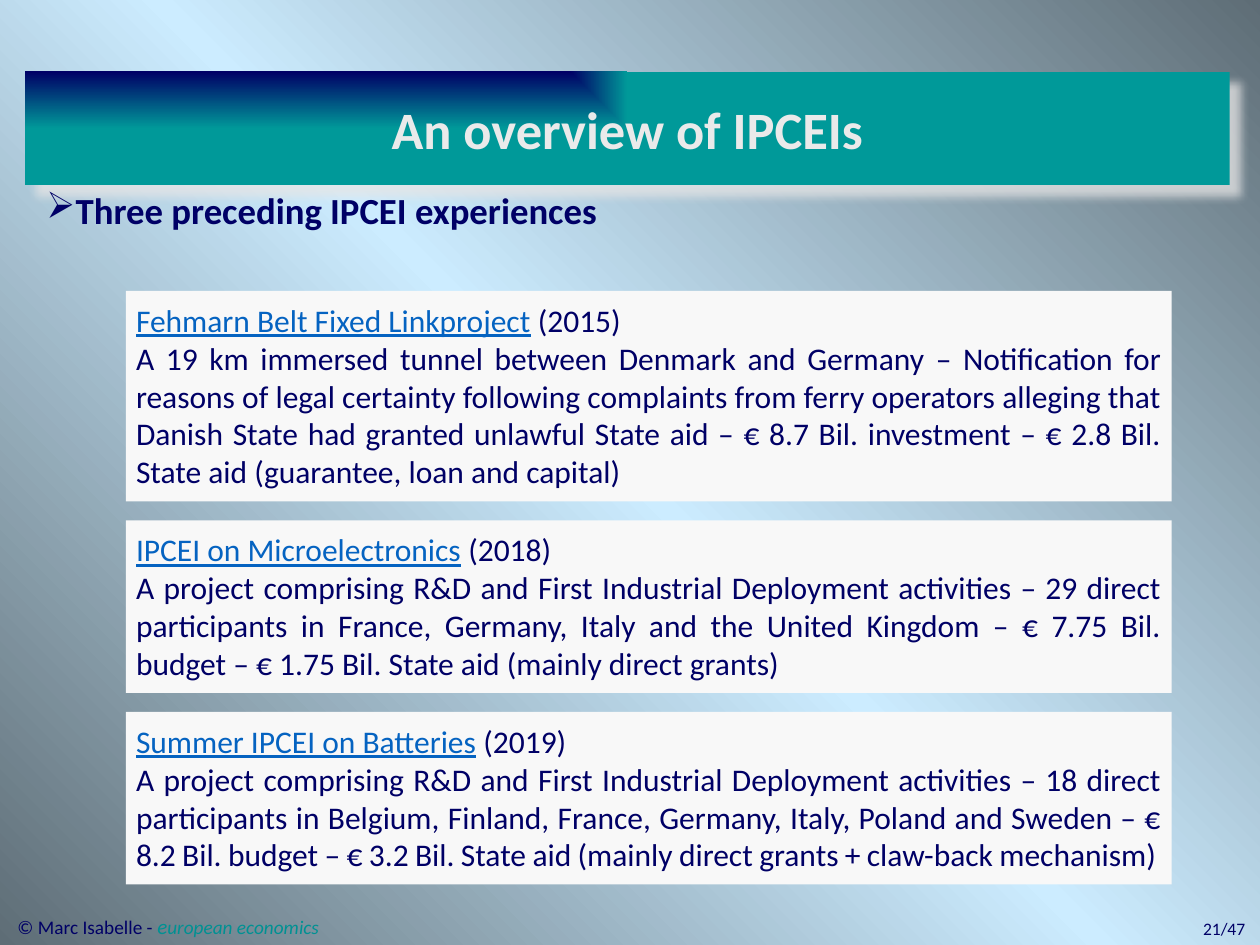
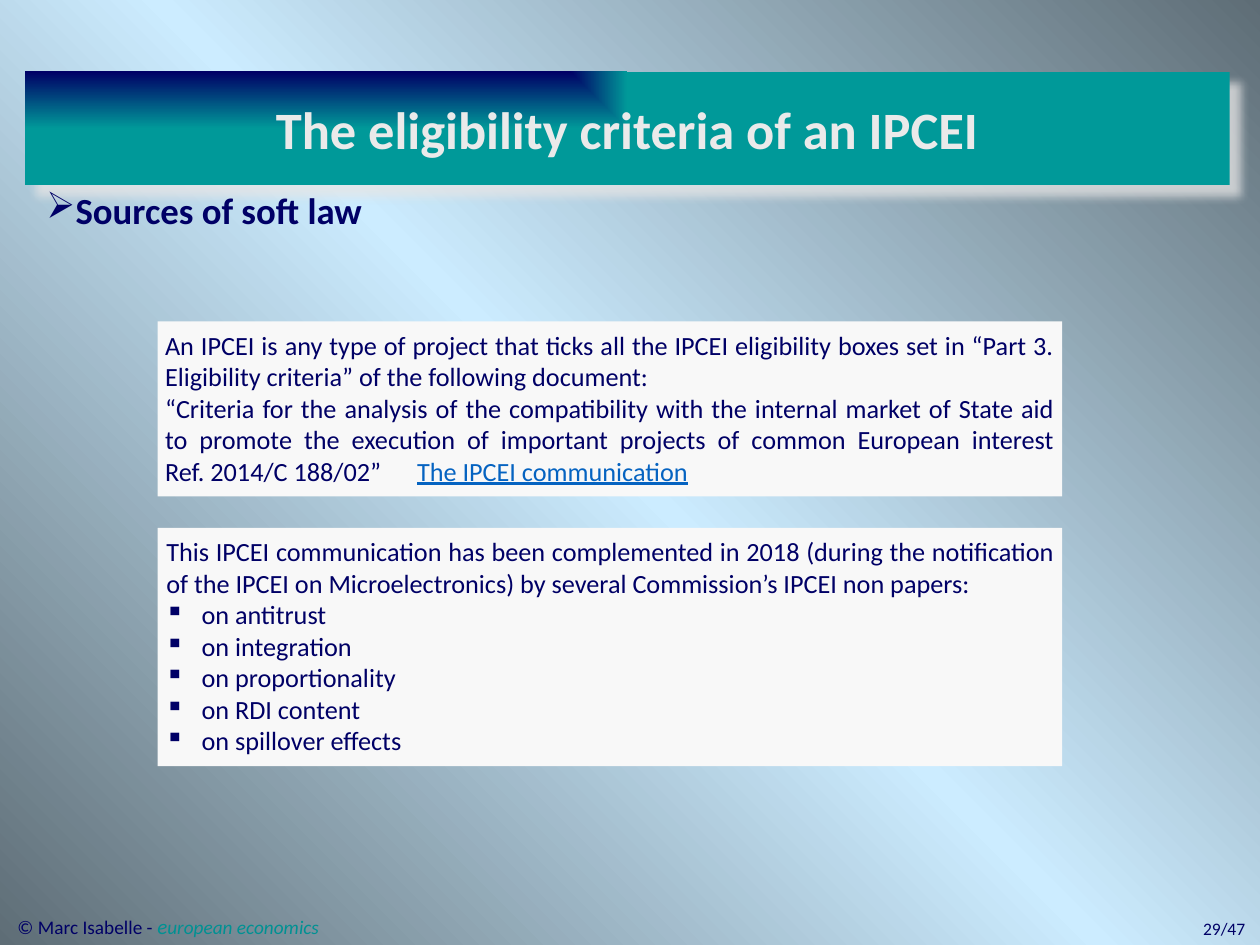
import pptx
import pptx.dml.color
import pptx.enum.shapes
import pptx.enum.text
import pptx.oxml
import pptx.oxml.ns
import pptx.util

Inches, Pt = pptx.util.Inches, pptx.util.Pt
ALIGN = pptx.enum.text.PP_ALIGN
ANCHOR = pptx.enum.text.MSO_ANCHOR
qn = pptx.oxml.ns.qn
NS = pptx.oxml.ns.nsdecls("a")
NBSP = chr(160)

HUES = {
    "navy": "000066", "teal": "009999", "sign": "009193", "link": "0563C1",
    "panel": "F8F8F8", "title": "EAEAEA", "shade": "E7E6E6",
    "steel": "5E6D76", "sky": "CCECFF",
}
STYLES = {
    "plain": {},
    "link": {"hue": "link", "underline": True},
    "sign": {"hue": "sign", "italic": True},
    "cap": {"hue": "sign", "italic": True, "size": Pt(12)},
    "lead": {"bold": True},
    "title": {"hue": "title", "bold": True},
    "thin": {"size": Pt(16)},
}


def rgb(name):
    return pptx.dml.color.RGBColor.from_string(HUES[name])


def blend(fill, holder, stops, way, alpha=100):
    """Give holder a gradient; stops pair a percentage with a colour name."""
    fill.solid()
    marks = "".join(
        f'<a:gs pos="{pos * 1000}"><a:srgbClr val="{HUES[name]}">'
        f'<a:alpha val="{alpha * 1000}"/></a:srgbClr></a:gs>'
        for pos, name in stops)
    xml = f"<a:gradFill {NS}><a:gsLst>{marks}</a:gsLst>{way}</a:gradFill>"
    holder.replace(holder.find(qn("a:solidFill")), pptx.oxml.parse_xml(xml))


def mark(para, char, left, hang):
    """Set the indents of a paragraph and, if given, its bullet."""
    props = para._p.get_or_add_pPr()
    props.set("marL", str(Inches(left)))
    props.set("indent", str(Inches(hang)))
    if char:
        props.append(pptx.oxml.parse_xml(f'<a:buChar {NS} char="{char}"/>'))


def write(para, runs, size, align=ALIGN.JUSTIFY):
    """Fill a paragraph from (text, style name) pairs."""
    para.alignment = align
    for text, style in runs:
        run = para.add_run()
        run.text = text
        form = {"name": "Calibri", "size": Pt(size), "hue": "navy"}
        form.update(STYLES[style])
        run.font.color.rgb = rgb(form.pop("hue"))
        for key, value in form.items():
            setattr(run.font, key, value)


def frame(shape, pad=None, wrap=True, anchor=ANCHOR.TOP):
    """Prepare the text frame of a shape and return it."""
    body = shape.text_frame
    form = {"word_wrap": wrap, "vertical_anchor": anchor}
    if pad is not None:
        for side in ("left", "top", "right", "bottom"):
            form[f"margin_{side}"] = Inches(pad)
    for key, value in form.items():
        setattr(body, key, value)
    return body


def label(slide, box, runs, size, align=ALIGN.LEFT, wrap=True):
    shape = slide.shapes.add_textbox(*map(Inches, box))
    para = frame(shape, wrap=wrap).paragraphs[0]
    write(para, runs, size, align)
    return para


def block(slide, box):
    """Add a rectangle with no line and no shadow."""
    kind = pptx.enum.shapes.MSO_SHAPE.RECTANGLE
    shape = slide.shapes.add_shape(kind, *map(Inches, box))
    shape.shadow.inherit = False
    shape.line.fill.background()
    return shape


def panel(slide, box, paras, size, pad):
    """Add a pale box of paragraphs, each (runs, bullet or None, indents)."""
    shape = block(slide, box)
    shape.fill.solid()
    shape.fill.fore_color.rgb = rgb("panel")
    body = frame(shape, pad)
    for i, (runs, char, (left, hang)) in enumerate(paras):
        para = body.add_paragraph() if i else body.paragraphs[0]
        mark(para, char, left, hang)
        write(para, runs, size)


def banner(slide, box, text):
    shape = block(slide, box)
    props = shape.element.spPr
    blend(shape.fill, props, [(0, "navy"), (100, "teal")],
          '<a:path path="rect"><a:fillToRect r="100000" b="100000"/></a:path>')
    props.find(qn("a:effectLst")).append(pptx.oxml.parse_xml(
        f'<a:outerShdw {NS} blurRad="{Pt(5)}" dist="{Pt(8.5)}" dir="2700000" '
        f'algn="tl" rotWithShape="0"><a:srgbClr val="{HUES["shade"]}">'
        '<a:alpha val="75000"/></a:srgbClr></a:outerShdw>'))
    body = frame(shape, 0.2, anchor=ANCHOR.MIDDLE)
    write(body.paragraphs[0], [(text, "title")], 30, ALIGN.CENTER)


def base(deck, title, lead, page):
    """Add a slide with its banner, lead line and footers."""
    slide = deck.slides.add_slide(deck.slide_layouts[6])
    label(slide, (8.79, 7.24, 1.19, 0.27), [(page, "plain")], 10, ALIGN.RIGHT)
    label(slide, (0.04, 7.2, 2.61, 0.3),
          [("© Marc Isabelle - ", "plain"), ("e", "cap"),
           ("uropean economics", "sign")], 11, wrap=False)
    banner(slide, (0.2, 0.57, 9.56, 0.9), title)
    para = label(slide, (0.27, 1.48, 9.05, 0.5), [(lead, "lead")], 21,
                 ALIGN.JUSTIFY)
    para.line_spacing = 0.9
    mark(para, "➢", 0.19, -0.29)
    return slide


def tight(text):
    """Split text into runs whose spaces are a little smaller."""
    runs = []
    for word in text.split():
        runs += [(" ", "thin"), (word, "plain")]
    return runs


def past(deck):
    slide = base(deck, "An overview of IPCEIs",
                 "Three preceding IPCEI experiences", "21/47")
    cases = [
        ("Fehmarn Belt Fixed Linkproject", 2015, 1.67, [(
            "A 19 km immersed tunnel between Denmark and Germany – "
            "Notification for reasons of legal certainty following complaints "
            "from ferry operators alleging that Danish State had granted "
            "unlawful State aid – € 8.7 Bil. investment – € 2.8 Bil. State "
            "aid (guarantee, loan and capital)", "plain")]),
        ("IPCEI on Microelectronics", 2018, 1.37, [(
            "A project comprising R&D and First Industrial Deployment "
            "activities – 29 direct participants in France, Germany, Italy "
            "and the United Kingdom – € 7.75 Bil. budget – € 1.75 Bil. State "
            "aid (mainly direct grants)", "plain")]),
        ("Summer IPCEI on Batteries", 2019, 1.37, [(
            "A project comprising R&D and First Industrial Deployment "
            "activities – 18 direct participants in Belgium, Finland, France, "
            "Germany, Italy, Poland and Sweden – € 8.2", "plain")] + tight(
            "Bil. budget – € 3.2 Bil. State aid (mainly direct grants + "
            "claw-back mechanism)")),
    ]
    top, gap = 2.31, 0.15
    for name, year, high, runs in cases:
        head = [(name, "link"), (f" ({year})", "plain")]
        panel(slide, (1, top, 8.3, high),
              [(head, None, (0, 0)), (runs, None, (0, 0))], 18, 0.08)
        top += high + gap


def rules(deck):
    slide = base(deck, "The eligibility criteria of an IPCEI",
                 "Sources of soft law", "29/47")
    intro = ("An IPCEI is any type of project that ticks all the IPCEI "
             "eligibility boxes set in “Part 3. Eligibility criteria” of the "
             "following document:")
    quote = ("“Criteria for the analysis of the compatibility with the "
             "internal market of State aid to promote the execution of "
             "important projects of common European interest "
             f"Ref.{NBSP}2014/C 188/02”\t")
    panel(slide, (1.25, 2.55, 7.18, 1.39), [
        ([(intro, "plain")], None, (0, 0)),
        ([(quote, "plain"), ("The IPCEI communication", "link")],
         None, (0, 0))], 15, 0.06)
    last = slide.shapes[-1].text_frame.paragraphs[-1]
    last._p.get_or_add_pPr().append(pptx.oxml.parse_xml(
        f'<a:tabLst {NS}><a:tab pos="{Inches(2.5)}" algn="l"/></a:tabLst>'))

    note = ("This IPCEI communication has been complemented in 2018 (during "
            "the notification of the IPCEI on Microelectronics) by several "
            "Commission’s IPCEI non papers:")
    themes = ["antitrust", "integration", "proportionality", "RDI content",
              "spillover effects"]
    paras = [([(note, "plain")], None, (0.01, 0))]
    paras += [([(f"on {theme}", "plain")], "▪", (0.29, -0.29))
              for theme in themes]
    panel(slide, (1.25, 4.19, 7.18, 1.89), paras, 15, 0.06)


def main():
    deck = pptx.Presentation()
    deck.slide_width, deck.slide_height = Inches(10), Inches(7.5)
    master = deck.slide_master
    fill = master.background.fill
    blend(fill, master.element.find(".//" + qn("p:bgPr")),
          [(0, "steel"), (50, "sky"), (100, "steel")],
          '<a:lin ang="18900000" scaled="0"/>', alpha=50)
    past(deck)
    rules(deck)
    deck.save("out.pptx")


if __name__ == "__main__":
    main()
